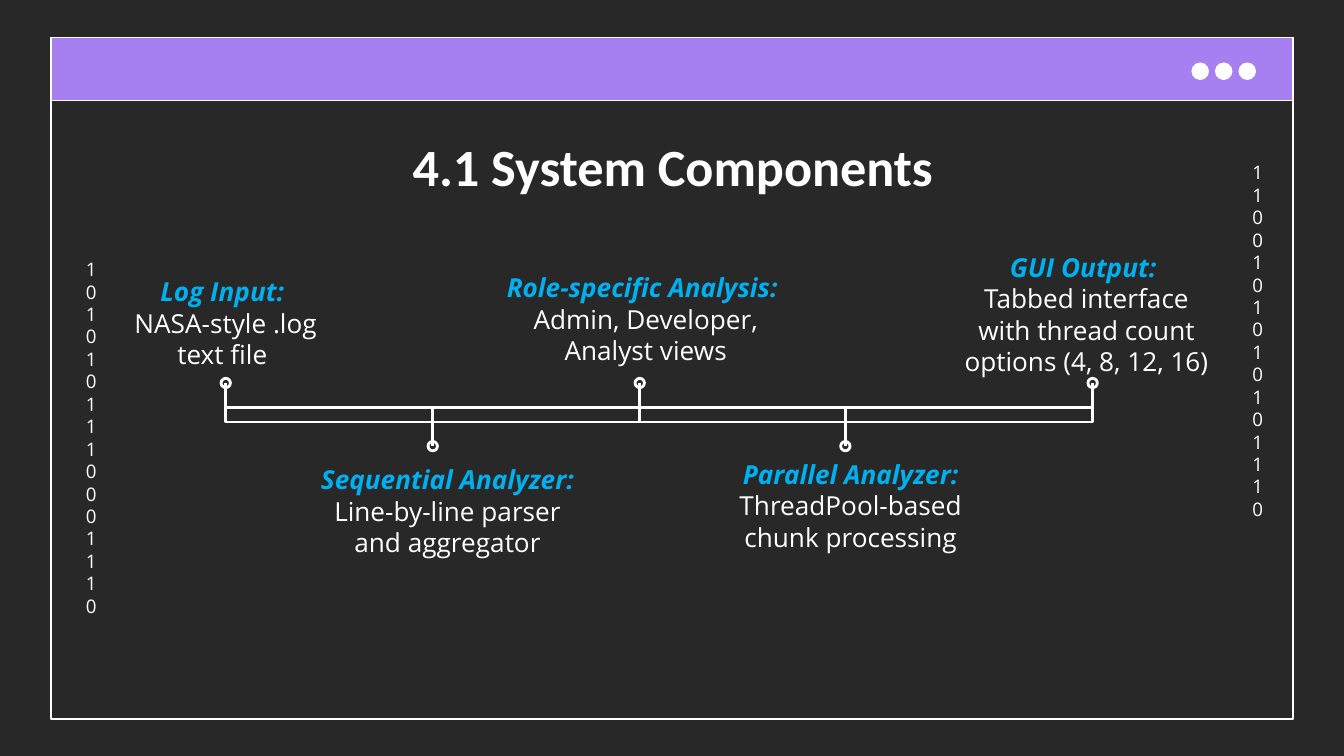
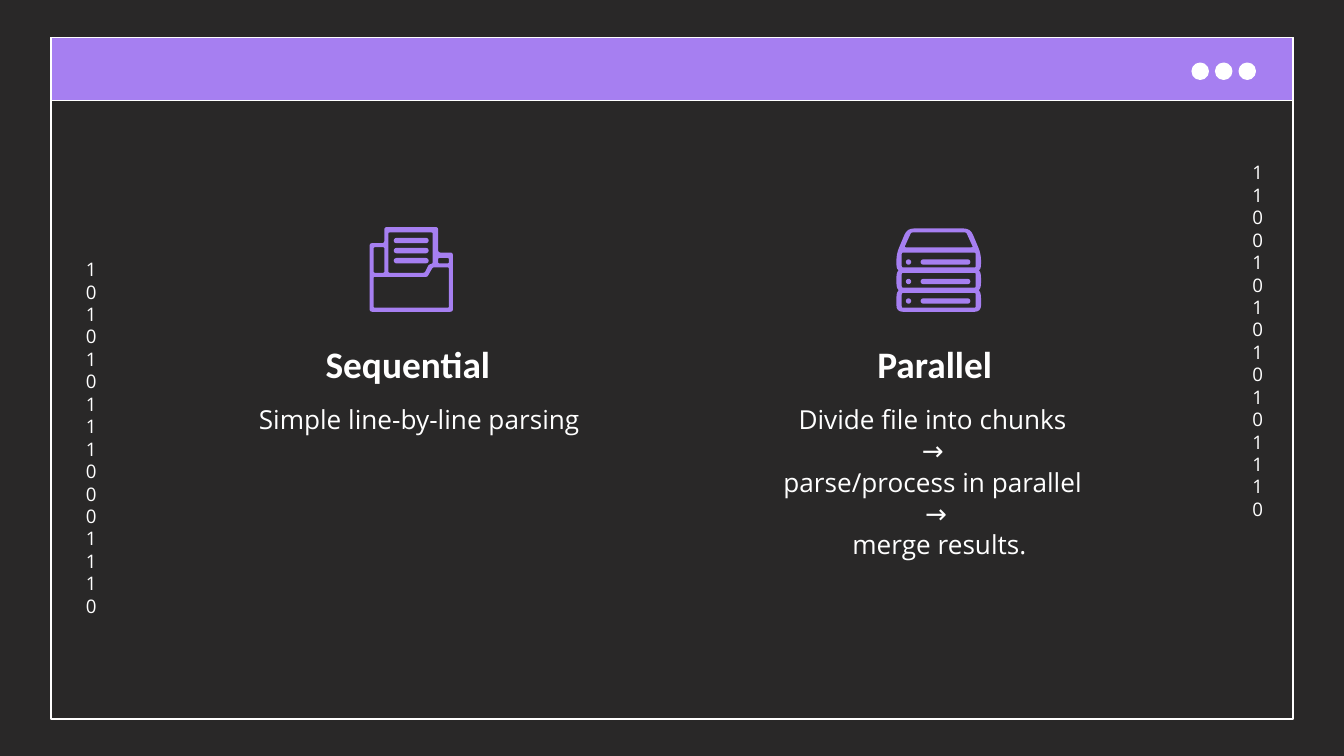
import pptx
import pptx.util
import pptx.dml.color
import pptx.enum.shapes
import pptx.enum.text
import pptx.oxml.ns
import lxml.etree

Inches = pptx.util.Inches
Pt = pptx.util.Pt
KINDS = pptx.enum.shapes.MSO_SHAPE
ANCHOR = pptx.enum.text.MSO_ANCHOR

COLORS = {"back": "292828", "white": "FFFFFF", "band": "A67FF1", "head": "00B0F0"}
BODY = {"name": "Open Sans", "size": Pt(14), "bold": False, "italic": False}
STYLES = {
    "title": {"name": "Calibri", "size": Pt(28), "bold": True},
    "sub": {"name": "Calibri", "size": Pt(20), "bold": True},
    "body": BODY,
    "head": {**BODY, "bold": True, "italic": True},
    "bits": {**BODY, "size": Pt(10)},
}

RAIL_TOP, RAIL_TALL = 3.03, 0.11
STEMS = [1.68, 3.22, 4.76, 6.29, 8.13]
# Place, heading, text, and whether both share one paragraph
PARTS = [
    ((0.58, 1.95, 2.03, 0.29), "Log Input: ", "NASA-style .log text file ", False),
    ((2.1, 3.35, 2.29, 0.29), "Sequential Analyzer: ",
     "Line-by-line parser and aggregator", False),
    ((3.49, 1.92, 2.46, 0.29), "Role-specific Analysis: ",
     "Admin, Developer, Analyst views", False),
    ((5.23, 3.31, 2.03, 0.29), "Parallel Analyzer: ",
     "ThreadPool-based chunk processing", True),
    ((6.88, 1.77, 2.24, 0.29), "GUI Output: ",
     "Tabbed interface with thread count options (4, 8, 12, 16)", False),
]


def tint(name):
    return pptx.dml.color.RGBColor.from_string(COLORS[name])


def paint(shape, fill=None, line=None, width=0.75):
    shape.shadow.inherit = False
    if fill:
        shape.fill.solid()
        shape.fill.fore_color.rgb = tint(fill)
    else:
        shape.fill.background()
    if line:
        shape.line.color.rgb = tint(line)
        shape.line.width = Pt(width)
    else:
        shape.line.fill.background()


def add_shape(slide, kind, place, **look):
    shape = slide.shapes.add_shape(kind, *map(Inches, place))
    paint(shape, **look)
    return shape


def add_line(slide, x, start, end):
    line = slide.shapes.add_connector(
        pptx.enum.shapes.MSO_CONNECTOR.STRAIGHT,
        Inches(x), Inches(start), Inches(x), Inches(end))
    line.line.color.rgb = tint("white")
    line.line.width = Pt(1.5)
    lxml.etree.SubElement(line._element.spPr, pptx.oxml.ns.qn("a:effectLst"))


def add_text(slide, place, lines, margin=0, indent=0, anchor=ANCHOR.TOP):
    """Add centred paragraphs, each a list of (text, style, color) runs."""
    frame = slide.shapes.add_textbox(*map(Inches, place)).text_frame
    frame.word_wrap = True
    frame.vertical_anchor = anchor
    for side in ("left", "top", "right", "bottom"):
        setattr(frame, "margin_" + side, Inches(0.1))
    for i, runs in enumerate(lines):
        para = frame.add_paragraph() if i else frame.paragraphs[0]
        para.alignment = pptx.enum.text.PP_ALIGN.CENTER
        if margin:
            props = para._p.get_or_add_pPr()
            props.set("marL", str(Inches(margin)))
            props.set("indent", str(Inches(indent)))
        for text, style, color in runs:
            run = para.add_run()
            run.text = text
            for key, value in STYLES[style].items():
                setattr(run.font, key, value)
            run.font.color.rgb = tint(color)


def plain(style, *texts):
    return [[(text, style, "white")] for text in texts]


def box(left, top, right, bottom):
    return [(left, top), (right, top), (right, bottom), (left, bottom)]


def soften(points, radius):
    """Replace each corner by a short curve, cut down on short sides."""
    curve = []
    for i, (x, y) in enumerate(points):
        ends = []
        for u, v in (points[i - 1], points[(i + 1) % len(points)]):
            size = ((u - x) ** 2 + (v - y) ** 2) ** 0.5
            part = min(radius / size, 0.5)
            ends.append((x + (u - x) * part, y + (v - y) * part))
        (a, b), (c, d) = ends
        for t in (0, 0.25, 0.5, 0.75, 1):
            p, q, r = (1 - t) ** 2, 2 * t * (1 - t), t * t
            curve.append((Inches(p * a + q * x + r * c),
                          Inches(p * b + q * y + r * d)))
    return curve


def add_glyph(slide, outer, holes, radius):
    """Draw a filled outline with holes cut out of it."""
    first, *rest = soften(outer, radius)
    pen = slide.shapes.build_freeform(*first, scale=1.0)
    pen.add_line_segments(rest, close=True)
    for hole in holes:
        first, *rest = soften(hole, 0.01)
        pen.move_to(*first)
        pen.add_line_segments(rest, close=True)
    paint(pen.convert_to_shape(), fill="band")


def add_pill(slide, left, top, width):
    pill = add_shape(slide, KINDS.ROUNDED_RECTANGLE,
                     (left, top, width, 0.04), fill="band")
    pill.adjustments[0] = 0.5


def draw_folder(slide):
    outer = [(2.86, 1.69), (3.26, 1.69), (3.26, 1.88), (3.37, 1.88),
             (3.37, 2.32), (2.75, 2.32), (2.75, 1.81), (2.86, 1.81)]
    sheet = [(2.89, 1.73), (3.22, 1.73), (3.22, 1.96), (3.19, 1.97),
             (3.16, 2.03), (2.89, 2.03)]
    front = [(2.78, 2.06), (3.18, 2.06), (3.22, 1.99), (3.34, 1.99),
             (3.34, 2.29), (2.78, 2.29)]
    add_glyph(slide, outer, [sheet, front, box(2.78, 1.84, 2.86, 2.03),
                             box(3.26, 1.92, 3.34, 1.96)], 0.02)
    for i in range(3):
        add_pill(slide, 2.93, 1.77 + 0.075 * i, 0.26)


def draw_server(slide):
    right = [(7.22, 1.7), (7.3, 1.89), (7.3, 2), (7.28, 2.01), (7.3, 2.03),
             (7.3, 2.14), (7.28, 2.16), (7.3, 2.18), (7.3, 2.32)]
    left = [(13.97 - x, y) for x, y in reversed(right)]
    lid = [(6.78, 1.73), (7.19, 1.73), (7.24, 1.84), (6.73, 1.84)]
    bays = [box(6.71, top, 7.26, top + 0.11) for top in (1.88, 2.03, 2.18)]
    add_glyph(slide, right + left, [lid, *bays], 0.05)
    for i in range(3):
        top = 1.93 + 0.145 * i
        add_pill(slide, 6.85, top, 0.37)
        add_shape(slide, KINDS.OVAL, (6.74, top, 0.04, 0.04), fill="band")


def add_slide(deck):
    """Add a blank slide with the window frame and the columns of bits."""
    slide = deck.slides.add_slide(deck.slide_layouts[6])
    slide.background.fill.solid()
    slide.background.fill.fore_color.rgb = tint("back")
    add_shape(slide, KINDS.RECTANGLE, (0.38, 0.28, 9.24, 5.07), line="white")
    add_shape(slide, KINDS.RECTANGLE, (0.38, 0.28, 9.24, 0.47),
              fill="band", line="white")
    for i in range(3):
        add_shape(slide, KINDS.OVAL, (8.87 + 0.175 * i, 0.47, 0.12, 0.12),
                  fill="white", line="white")
    add_text(slide, (9.22, 1.1, 0.24, 2.8), plain("bits", "1100101010101110"))
    add_text(slide, (0.54, 1.82, 0.24, 2.8),
             plain("bits", "101010111000111", "0"))
    return slide


def build_parts(deck):
    slide = add_slide(deck)
    add_text(slide, (0.79, 0.9, 8.43, 0.63),
             plain("title", "4.1 System Components"))
    for left, right in zip(STEMS, STEMS[1:]):
        add_shape(slide, KINDS.RECTANGLE,
                  (left, RAIL_TOP, right - left, RAIL_TALL),
                  line="white", width=1.5)
    for i, (x, (place, head, text, joined)) in enumerate(zip(STEMS, PARTS)):
        tip, end = (3.32, RAIL_TOP) if i % 2 else (2.85, RAIL_TOP + RAIL_TALL)
        add_line(slide, x, tip, end)
        add_shape(slide, KINDS.OVAL, (x - 0.035, tip - 0.035, 0.07, 0.07),
                  line="white", width=1.5)
        runs = [(head, "head", "head"), (text, "body", "white")]
        add_text(slide, place, [runs] if joined else [[run] for run in runs],
                 margin=0.17)


def build_modes(deck):
    slide = add_slide(deck)
    for left, name in ((1.03, "Sequential"), (4.95, "Parallel")):
        add_text(slide, (left, 2.27, 4.01, 0.7), plain("sub", name),
                 anchor=ANCHOR.BOTTOM)
    add_text(slide, (1.56, 2.9, 2.95, 1.92),
             plain("body", "Simple line-by-line parsing"),
             margin=0.5, indent=-0.33)
    add_text(slide, (5.49, 2.9, 2.95, 1.92),
             plain("body", "Divide file into chunks ", "→ ",
                   "parse/process in parallel ", "→", " merge results."))
    draw_folder(slide)
    draw_server(slide)


def main():
    deck = pptx.Presentation()
    deck.slide_width = Inches(10)
    deck.slide_height = deck.slide_width * 9 // 16
    build_parts(deck)
    build_modes(deck)
    deck.save("out.pptx")


if __name__ == "__main__":
    main()
